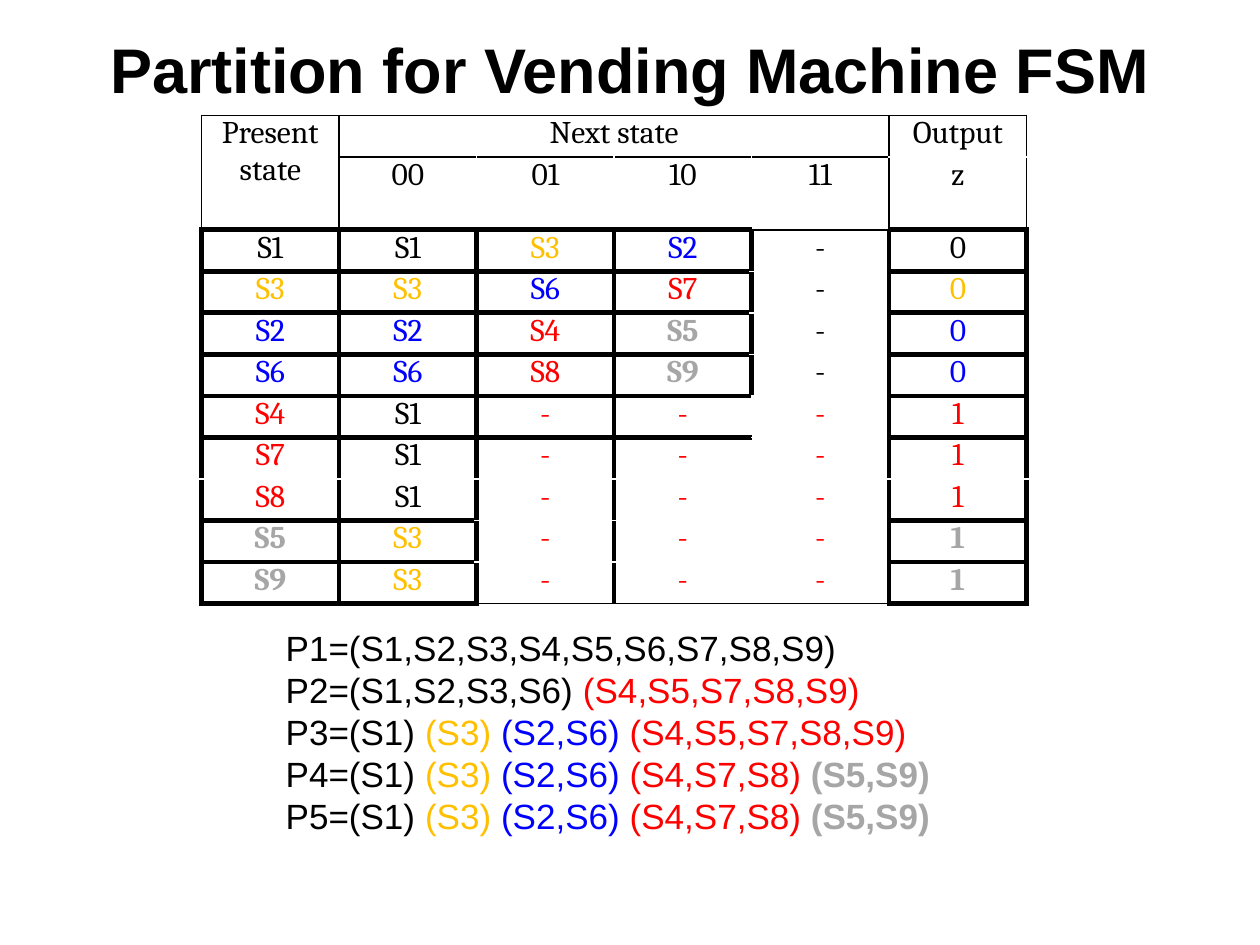
from lxml import etree
from pptx import Presentation
from pptx.dml.color import RGBColor
from pptx.enum.text import MSO_ANCHOR, PP_ALIGN
from pptx.oxml.ns import qn
from pptx.util import Pt

BLACK = RGBColor(0x00, 0x00, 0x00)
WHITE = RGBColor(0xFF, 0xFF, 0xFF)
GOLD = RGBColor(0xFF, 0xC0, 0x00)
BLUE = RGBColor(0x00, 0x00, 0xFF)
RED = RGBColor(0xFF, 0x00, 0x00)
GREY = RGBColor(0xA6, 0xA6, 0xA6)
CENTER, LEFT = PP_ALIGN.CENTER, PP_ALIGN.LEFT
MIDDLE, TOP = MSO_ANCHOR.MIDDLE, MSO_ANCHOR.TOP

# Equivalent states share a colour
STATE_COLORS = {"S1": BLACK, "S3": GOLD, "S2": BLUE, "S6": BLUE, "S4": RED,
                "S7": RED, "S8": RED, "S5": GREY, "S9": GREY}

HEADER = [["Present state", "Next state", "", "", "", "Output"],
          ["", "00", "01", "10", "11", "z"]]
TRANSITIONS = [
    ["S1", "S1", "S3", "S2", "-", "0"],
    ["S3", "S3", "S6", "S7", "-", "0"],
    ["S2", "S2", "S4", "S5", "-", "0"],
    ["S6", "S6", "S8", "S9", "-", "0"],
    ["S4", "S1", "-", "-", "-", "1"],
    ["S7", "S1", "-", "-", "-", "1"],
    ["S8", "S1", "-", "-", "-", "1"],
    ["S5", "S3", "-", "-", "-", "1"],
    ["S9", "S3", "-", "-", "-", "1"],
]
PARTITIONS = [
    "P1=(S1,S2,S3,S4,S5,S6,S7,S8,S9)",
    "P2=(S1,S2,S3,S6) (S4,S5,S7,S8,S9)",
    "P3=(S1) (S3) (S2,S6) (S4,S5,S7,S8,S9)",
    "P4=(S1) (S3) (S2,S6) (S4,S7,S8) (S5,S9)",
    "P5=(S1) (S3) (S2,S6) (S4,S7,S8) (S5,S9)",
]

# Grid lines: K thick black, t thin black, w thin white, . inside a merged cell
LINE_STYLES = {"K": (BLACK, 3), "t": (BLACK, 1), "w": (WHITE, 1)}
HORIZONTAL = (["tttttt", ".ttttw", "KKKKtK"] + ["KKKKwK"] * 5
              + ["wwwwww"] + ["KKwwwK"] * 2 + ["KKtttK"])
VERTICAL = ["tt...tt", "ttwwwtt"] + ["KKKKKKK"] * 4 + ["KKKKwKK"] * 5


def add_text(paragraph, text, font="Arial", size=18, color=BLACK, bold=False,
             align=LEFT):
    paragraph.alignment = align
    run = paragraph.add_run()
    run.text = text
    run.font.name = font
    run.font.size = Pt(size)
    run.font.bold = bold
    run.font.color.rgb = color


def add_frame(slide, box, wrap, anchor):
    frame = slide.shapes.add_textbox(*map(Pt, box)).text_frame
    frame.word_wrap = wrap
    frame.vertical_anchor = anchor
    return frame


def set_borders(cell, row, col):
    sides = {"a:lnL": VERTICAL[row][col], "a:lnR": VERTICAL[row][col + 1],
             "a:lnT": HORIZONTAL[row][col], "a:lnB": HORIZONTAL[row + 1][col]}
    properties = cell._tc.get_or_add_tcPr()
    position = 0
    for tag, style in sides.items():
        if style == ".":
            continue
        color, width = LINE_STYLES[style]
        line = etree.Element(qn(tag), w=str(Pt(width)))
        fill = etree.SubElement(line, qn("a:solidFill"))
        etree.SubElement(fill, qn("a:srgbClr"), val=str(color))
        properties.insert(position, line)
        position += 1


def cell_color(row, col, text):
    """Colour by the named state, or by the row's present state."""
    if row < len(HEADER):
        return BLACK
    present, output = TRANSITIONS[row - len(HEADER)][::5]
    if text == "-":
        return RED if output == "1" else BLACK
    return STATE_COLORS[present if col == 5 else text]


def add_title(slide, box):
    frame = add_frame(slide, box, True, MIDDLE)
    add_text(frame.paragraphs[0], "Partition for Vending Machine FSM",
             size=36, bold=True, align=CENTER)


def add_state_table(slide, box):
    rows = HEADER + TRANSITIONS
    table = slide.shapes.add_table(len(rows), len(rows[0]), *map(Pt, box)).table
    table.first_row = table.horz_banding = False
    for r, values in enumerate(rows):
        for c, text in enumerate(values):
            cell = table.cell(r, c)
            cell.margin_left = cell.margin_right = 0
            cell.margin_top = cell.margin_bottom = 0
            cell.fill.background()
            set_borders(cell, r, c)
            if text:
                color = cell_color(r, c, text)
                add_text(cell.text_frame.paragraphs[0], text, font="Cambria",
                         color=color, bold=color == GREY, align=CENTER)
    # Header spans
    table.cell(0, 0).merge(table.cell(1, 0))
    table.cell(0, 1).merge(table.cell(0, 4))


def add_partitions(slide, box):
    frame = add_frame(slide, box, False, TOP)
    for i, partition in enumerate(PARTITIONS):
        paragraph = frame.add_paragraph() if i else frame.paragraphs[0]
        blocks = partition.split(" ")
        for n, block in enumerate(blocks, start=1):
            first_state = block.split("(")[1][:2]
            color = STATE_COLORS[first_state]
            space = " " if n < len(blocks) else ""
            add_text(paragraph, block + space, size=20, color=color,
                     bold=color == GREY)


def main():
    prs = Presentation()
    prs.slide_width, prs.slide_height = Pt(720), Pt(540)
    slide = prs.slides.add_slide(prs.slide_layouts[6])
    add_state_table(slide, (115.2, 66, 471.6, 261))
    add_partitions(slide, (156.2, 354.4, 385, 128))
    add_title(slide, (0, 12.2, 720, 54))
    prs.save("out.pptx")


if __name__ == "__main__":
    main()
